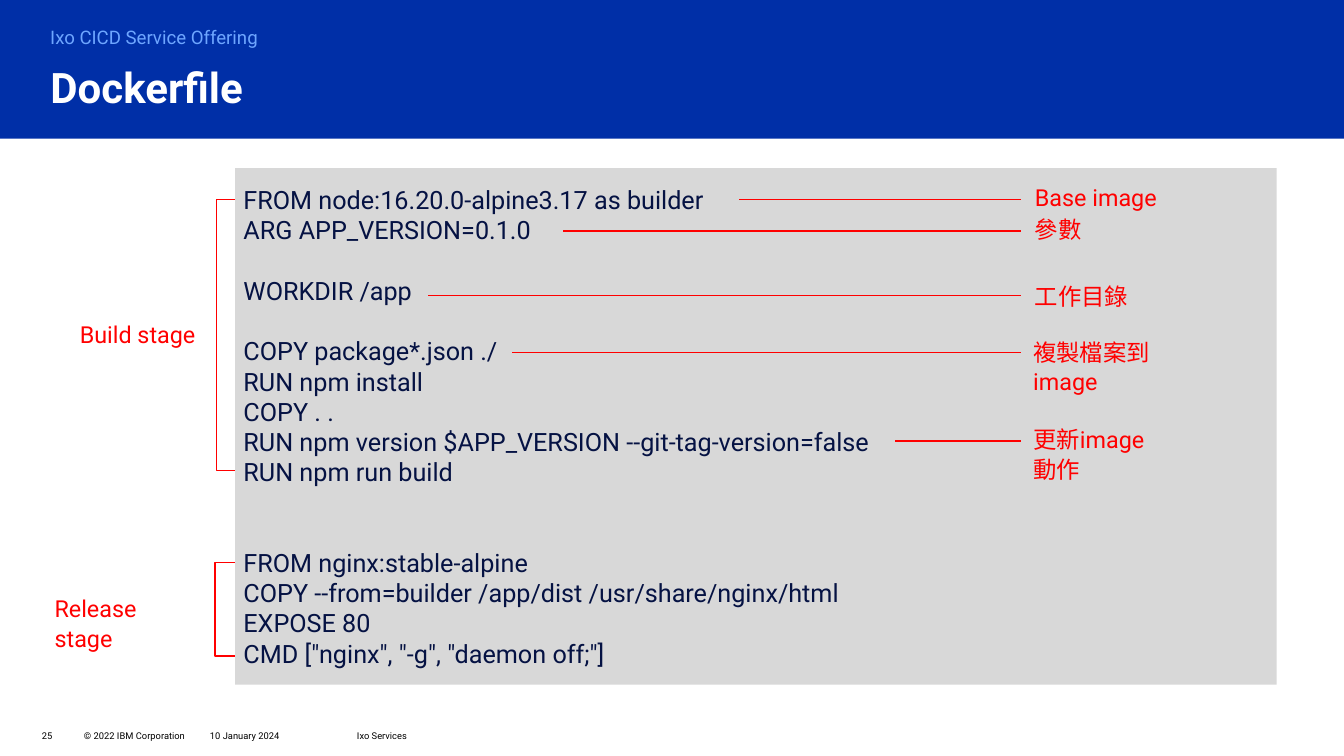
import collections
import pptx
import pptx.dml.color
import pptx.enum.shapes
import pptx.enum.text
import pptx.oxml.ns
import pptx.util
import lxml.etree

RGBColor = pptx.dml.color.RGBColor
Anchor = pptx.enum.text.MSO_ANCHOR
Box = collections.namedtuple("Box", "left top width height")

BLUE = RGBColor(0x00, 0x2F, 0xA7)
LIGHT_BLUE = RGBColor(0x6E, 0xA6, 0xFF)
NAVY = RGBColor(0x05, 0x12, 0x43)
GREY = RGBColor(0xD8, 0xD8, 0xD8)
RED = RGBColor(0xFF, 0x00, 0x00)
BLACK = RGBColor(0x00, 0x00, 0x00)
WHITE = RGBColor(0xFF, 0xFF, 0xFF)

SLIDE = Box(0, 0, 16, 9)
HEADER = Box(0, 0, 16, 1.65)
CODE = Box(2.8, 2, 12.4, 6.15)
FOOTER = Box(0.5, 8.64, 6.25, 0.24)

TITLE_FORMAT = {"size": 36, "bold": True, "color": WHITE}
SUBTITLE_FORMAT = {"size": 16, "color": LIGHT_BLUE}
CODE_FORMAT = {"size": 21.6, "color": NAVY}
NOTE_FORMAT = {"size": 20, "color": RED}
FOOTER_FORMAT = {"size": 8, "color": BLACK}

CODE_LINE_HEIGHT = 25.95
CODE_BLOCKS = [
    (0, ["FROM node:16.20.0-alpine3.17 as builder", "ARG APP_VERSION=0.1.0"]),
    (1, ["WORKDIR /app"]),
    (1, [
        "COPY package*.json ./",
        "RUN npm install",
        "COPY . .",
        "RUN npm version $APP_VERSION --git-tag-version=false",
        "RUN npm run build",
    ]),
    (2, [
        "FROM nginx:stable-alpine",
        "COPY --from=builder /app/dist /usr/share/nginx/html",
        "EXPOSE 80",
        'CMD ["nginx", "-g", "daemon off;"]',
    ]),
]
STAGES = [
    ("Build stage", Box(-1.85, 1.8, 1.46, 0.38), Box(-0.22, 0.38, 2.25, 3.22)),
    ("Release stage", Box(-2.15, 5.06, 1.46, 0.38), Box(-0.24, 4.7, 2.25, 1.11)),
]
NOTES = [
    ("Base image", 9.52, 0.16, 6, 0.38),
    ("參數", 9.52, 0.55, 3.9, 0.75),
    ("工作目錄", 9.52, 1.34, 2.3, 1.52),
    ("複製檔案到image", 9.5, 2.01, 3.3, 2.2),
    ("更新image動作", 9.5, 3.05, 7.85, 3.25),
]
NOTE_LINE_END = 9.35
FOOTER_PARTS = [
    ("25", 0, 0.36),
    ("© 2022 IBM Corporation", 0.5, 1.4),
    ("10 January 2024", 2, 1.5),
    ("Ixo Services", 3.75, 2.5),
]


def inches(*lengths):
    return [pptx.util.Inches(length) for length in lengths]


def within(box, part):
    return part._replace(left=box.left + part.left, top=box.top + part.top)


def format_font(font, values):
    font.name = "Roboto"
    for name, value in values.items():
        if name == "color":
            font.color.rgb = value
        else:
            setattr(font, name, pptx.util.Pt(value) if name == "size" else value)


def format_frame(frame, anchor=Anchor.TOP, margins=(0, 0, 0, 0)):
    values = dict(zip(("margin_left", "margin_top", "margin_right", "margin_bottom"), inches(*margins)))
    values.update(word_wrap=True, auto_size=pptx.enum.text.MSO_AUTO_SIZE.NONE, vertical_anchor=anchor)
    for name, value in values.items():
        setattr(frame, name, value)


def write_line(paragraph, text, values, spacing=None):
    paragraph.text = text
    paragraph.alignment = pptx.enum.text.PP_ALIGN.LEFT
    paragraph.line_spacing = spacing
    format_font(paragraph.runs[0].font, values)


def add_text(slide, box, text, values, spacing=None, **frame_values):
    shape = slide.shapes.add_textbox(*inches(*box))
    format_frame(shape.text_frame, **frame_values)
    write_line(shape.text_frame.paragraphs[0], text, values, spacing)


def add_rectangle(slide, box, fill=None, line=None):
    shape = slide.shapes.add_shape(pptx.enum.shapes.MSO_SHAPE.RECTANGLE, *inches(*box))
    shape.shadow.inherit = False
    if fill is None:
        shape.fill.background()
    else:
        shape.fill.solid()
        shape.fill.fore_color.rgb = fill
    if line is None:
        shape.line.fill.background()
    else:
        shape.line.color.rgb = line
        shape.line.width = pptx.util.Pt(1)
    return shape


def add_line(slide, start, end, y):
    connector = slide.shapes.add_connector(
        pptx.enum.shapes.MSO_CONNECTOR.STRAIGHT, *inches(start, y, end, y))
    connector.line.color.rgb = RED
    connector.line.width = pptx.util.Pt(1)
    lxml.etree.SubElement(connector._element.spPr, pptx.oxml.ns.qn("a:effectLst"))


def add_header(slide, box):
    band = add_rectangle(slide, box, fill=BLUE)
    title = slide.shapes.title
    band._element.addnext(title._element)
    title_box = within(box, Box(0.5, 0.75, 13.5, 1.25))
    for name, value in zip(Box._fields, inches(*title_box)):
        setattr(title, name, value)
    format_frame(title.text_frame, margins=(0.1, 0.05, 0.1, 0.05))
    write_line(title.text_frame.paragraphs[0], "Dockerfile", TITLE_FORMAT, 0.9)
    add_text(slide, within(box, Box(0.5, 0.29, 7.2, 0.3)), "Ixo CICD Service Offering",
             SUBTITLE_FORMAT, 1.05, margins=(0.1, 0, 0.1, 0.05))


def add_stages(slide, box):
    for text, label, bracket in STAGES:
        add_rectangle(slide, within(box, bracket), line=RED)
        add_text(slide, within(box, label), text, NOTE_FORMAT, 1.05)


def add_code(slide, box):
    frame = add_rectangle(slide, box, fill=GREY).text_frame
    format_frame(frame, Anchor.MIDDLE, (0.1, 0.05, 0.1, 0.05))
    paragraph = frame.paragraphs[0]
    for gap, lines in CODE_BLOCKS:
        for index, text in enumerate(lines):
            if paragraph.runs:
                paragraph = frame.add_paragraph()
            write_line(paragraph, text, CODE_FORMAT)
            if gap and index == 0:
                paragraph.space_before = pptx.util.Pt(gap * CODE_LINE_HEIGHT)


def add_notes(slide, box):
    for text, left, top, line_start, line_y in NOTES:
        add_text(slide, within(box, Box(left, top, 1.55, 0.39)), text, NOTE_FORMAT, 1.05)
        add_line(slide, box.left + NOTE_LINE_END, box.left + line_start, box.top + line_y)


def add_footer(slide, box):
    for text, left, width in FOOTER_PARTS:
        add_text(slide, within(box, Box(left, 0, width, box.height)), text,
                 FOOTER_FORMAT, anchor=Anchor.MIDDLE)


def main():
    presentation = pptx.Presentation()
    presentation.slide_width, presentation.slide_height = inches(SLIDE.width, SLIDE.height)
    slide = presentation.slides.add_slide(presentation.slide_layouts[5])
    add_header(slide, HEADER)
    add_stages(slide, CODE)
    add_code(slide, CODE)
    add_notes(slide, CODE)
    add_footer(slide, FOOTER)
    presentation.save("out.pptx")


if __name__ == "__main__":
    main()
